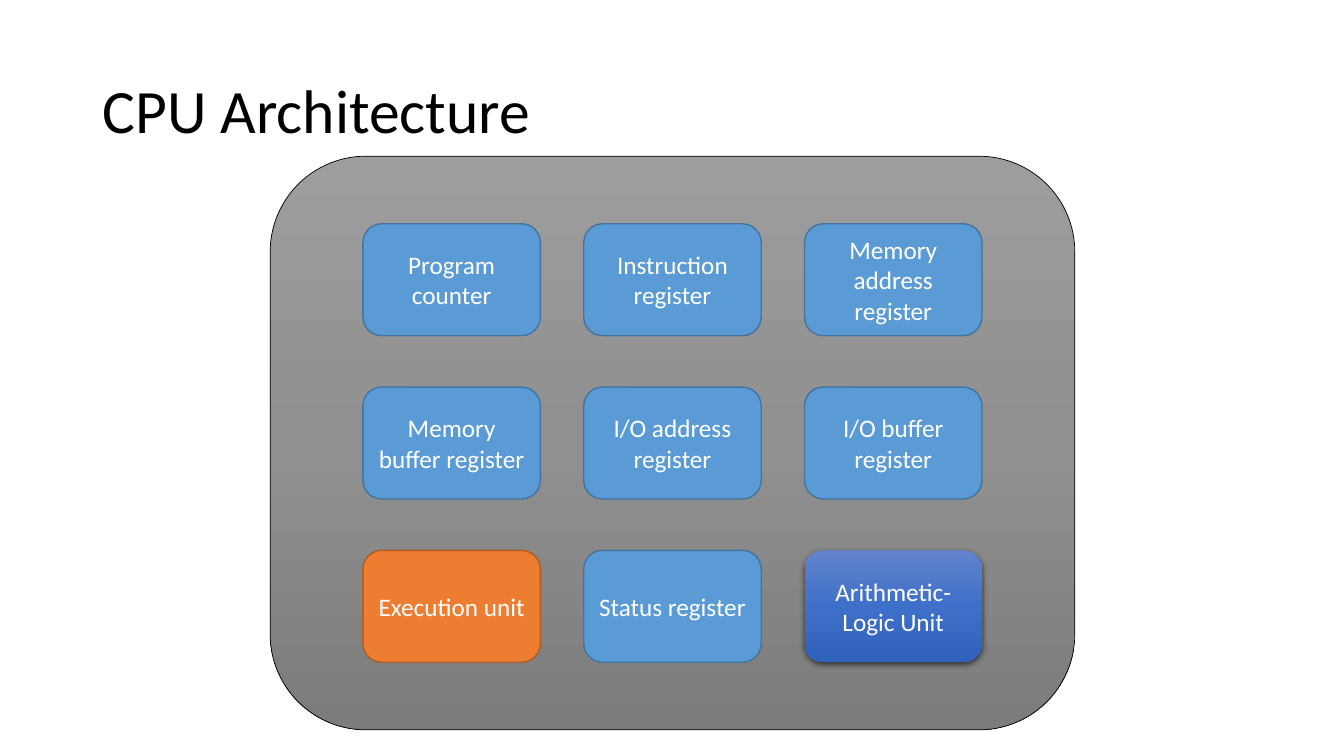
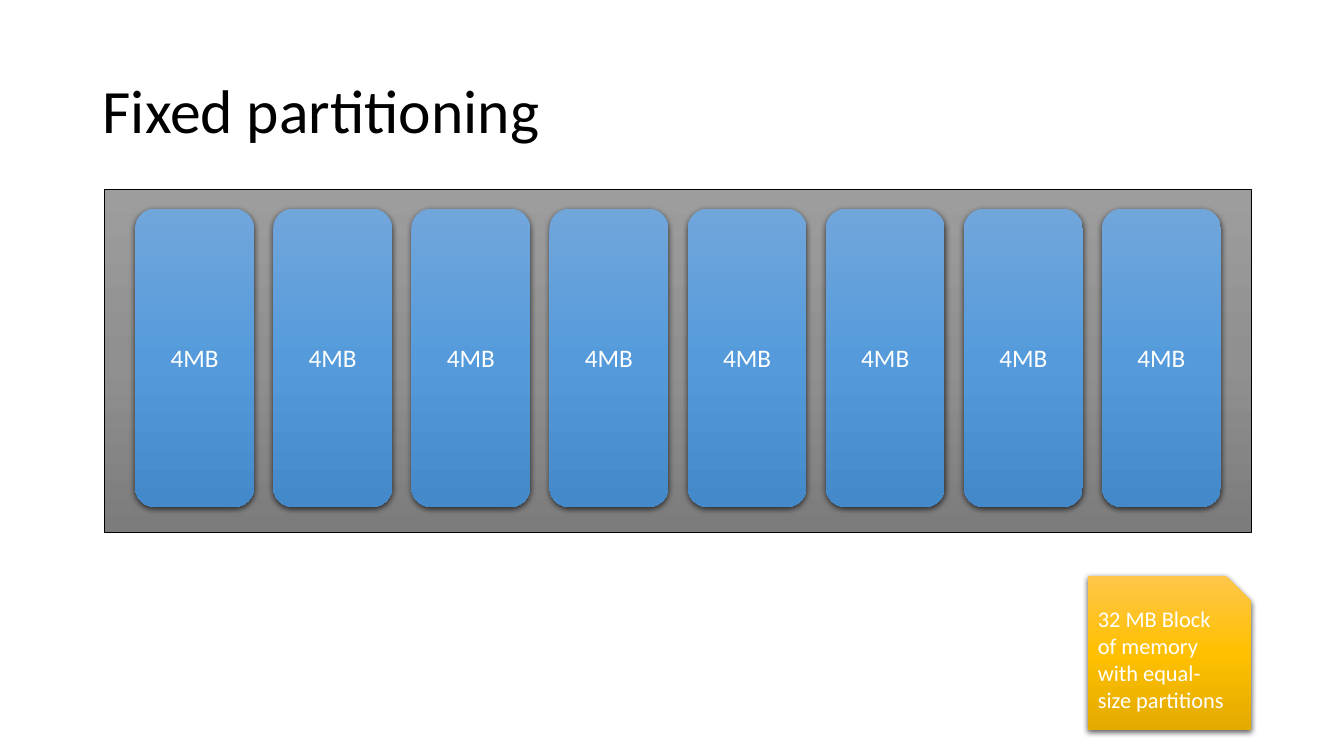
import copy
import dataclasses

import pptx
import pptx.dml.color
import pptx.enum.shapes
import pptx.enum.text
import pptx.oxml
import pptx.oxml.ns
import pptx.util

PX = 9144
SHAPE = pptx.enum.shapes.MSO_SHAPE
ALIGN = pptx.enum.text.PP_ALIGN
ANCHOR = pptx.enum.text.MSO_ANCHOR


@dataclasses.dataclass(frozen=True)
class Style:
    fill: tuple
    line: str = ""
    line_width: float = 1
    shadow: bool = False


@dataclasses.dataclass(frozen=True)
class Theme:
    font: str = "Calibri"
    title_size: int = 44
    label_size: int = 18
    note_size: int = 16
    ink: str = "000000"
    paper: str = "FFFFFF"
    panel: Style = Style(("9D9D9D", "909090", "7C7C7C"), "000000", 0.5)
    register: Style = Style(("5B9BD5",), "43739E")
    execution: Style = Style(("ED7D31",), "AF5C24")
    logic: Style = Style(("6183CB", "3E70CA", "3062BB"), shadow=True)
    partition: Style = Style(("71A6DB", "559BDB", "448ACA"), shadow=True)
    note: Style = Style(("FFC64B", "FFC000", "E3AB00"), shadow=True)


THEME = Theme()


def rgb(value):
    return pptx.dml.color.RGBColor.from_string(value)


def emu(*lengths):
    return [pptx.util.Emu(length * PX) for length in lengths]


def write(box, text, size, colour, align):
    frame = box.text_frame
    frame.word_wrap = True
    frame.vertical_anchor = ANCHOR.MIDDLE
    frame.text = text
    para = frame.paragraphs[0]
    para.alignment = align
    span = para.runs[0]
    span.font.name = THEME.font
    span.font.size = pptx.util.Pt(size)
    span.font.color.rgb = rgb(colour)
    return para


def add_title(page, text):
    box = page.shapes.add_textbox(*emu(92, 40, 1150, 145))
    para = write(box, text, THEME.title_size, THEME.ink, ALIGN.LEFT)
    para.line_spacing = 0.9


def fill_gradient(shape, colours):
    shape.fill.gradient()
    shape.fill.gradient_angle = 270
    stop_list = shape.element.spPr.find(".//" + pptx.oxml.ns.qn("a:gsLst"))
    stop_list.insert(1, copy.deepcopy(stop_list[0]))
    for index, (stop, colour) in enumerate(zip(shape.fill.gradient_stops, colours)):
        stop.position = index / (len(colours) - 1)
        stop.color.rgb = rgb(colour)


def cast_shadow(shape):
    effects = shape.element.spPr.find(pptx.oxml.ns.qn("a:effectLst"))
    effects.append(pptx.oxml.parse_xml(
        f'<a:outerShdw {pptx.oxml.ns.nsdecls("a")} blurRad="{pptx.util.Pt(4.5)}" '
        f'dist="{pptx.util.Pt(1.5)}" dir="5400000" algn="ctr" rotWithShape="0">'
        f'<a:srgbClr val="{THEME.ink}"><a:alpha val="63000"/></a:srgbClr>'
        '</a:outerShdw>'))


def add_block(page, kind, place, style):
    shape = page.shapes.add_shape(kind, *emu(*place))
    if len(style.fill) > 1:
        fill_gradient(shape, style.fill)
    else:
        shape.fill.solid()
        shape.fill.fore_color.rgb = rgb(style.fill[0])
    if style.line:
        shape.line.color.rgb = rgb(style.line)
        shape.line.width = pptx.util.Pt(style.line_width)
    else:
        shape.line.fill.background()
    shape.shadow.inherit = False
    if style.shadow:
        cast_shadow(shape)
    return shape


def add_labelled(page, place, style, text):
    shape = add_block(page, SHAPE.ROUNDED_RECTANGLE, place, style)
    write(shape, text, THEME.label_size, THEME.paper, ALIGN.CENTER)


def add_page(deck, title):
    page = deck.slides.add_slide(deck.slide_layouts[6])
    add_title(page, title)
    return page


def build_architecture(deck):
    page = add_page(deck, "CPU Architecture")
    add_block(page, SHAPE.ROUNDED_RECTANGLE, (268, 155, 798, 569), THEME.panel)
    units = [
        ("Program counter", THEME.register),
        ("Instruction register", THEME.register),
        ("Memory address register", THEME.register),
        ("Memory buffer register", THEME.register),
        ("I/O address register", THEME.register),
        ("I/O buffer register", THEME.register),
        ("Execution unit", THEME.execution),
        ("Status register", THEME.register),
        ("Arithmetic- Logic Unit", THEME.logic),
    ]
    for index, (text, style) in enumerate(units):
        row, column = divmod(index, 3)
        place = (360 + 219 * column, 222 + 162 * row, 176, 111)
        add_labelled(page, place, style, text)


def build_partitioning(deck):
    page = add_page(deck, "Fixed partitioning")
    add_block(page, SHAPE.RECTANGLE, (104, 188, 1137, 340), THEME.panel)
    for index in range(8):
        add_labelled(page, (134 + 137 * index, 207, 118, 296), THEME.partition, "4MB")
    note = add_block(page, SHAPE.SNIP_1_RECTANGLE, (1079, 571, 162, 153), THEME.note)
    write(note, "32 MB Block of memory with equal-size partitions",
          THEME.note_size, THEME.paper, ALIGN.LEFT)


def main():
    deck = pptx.Presentation()
    deck.slide_width, deck.slide_height = emu(1333, 750)
    build_architecture(deck)
    build_partitioning(deck)
    deck.save("out.pptx")


if __name__ == "__main__":
    main()
